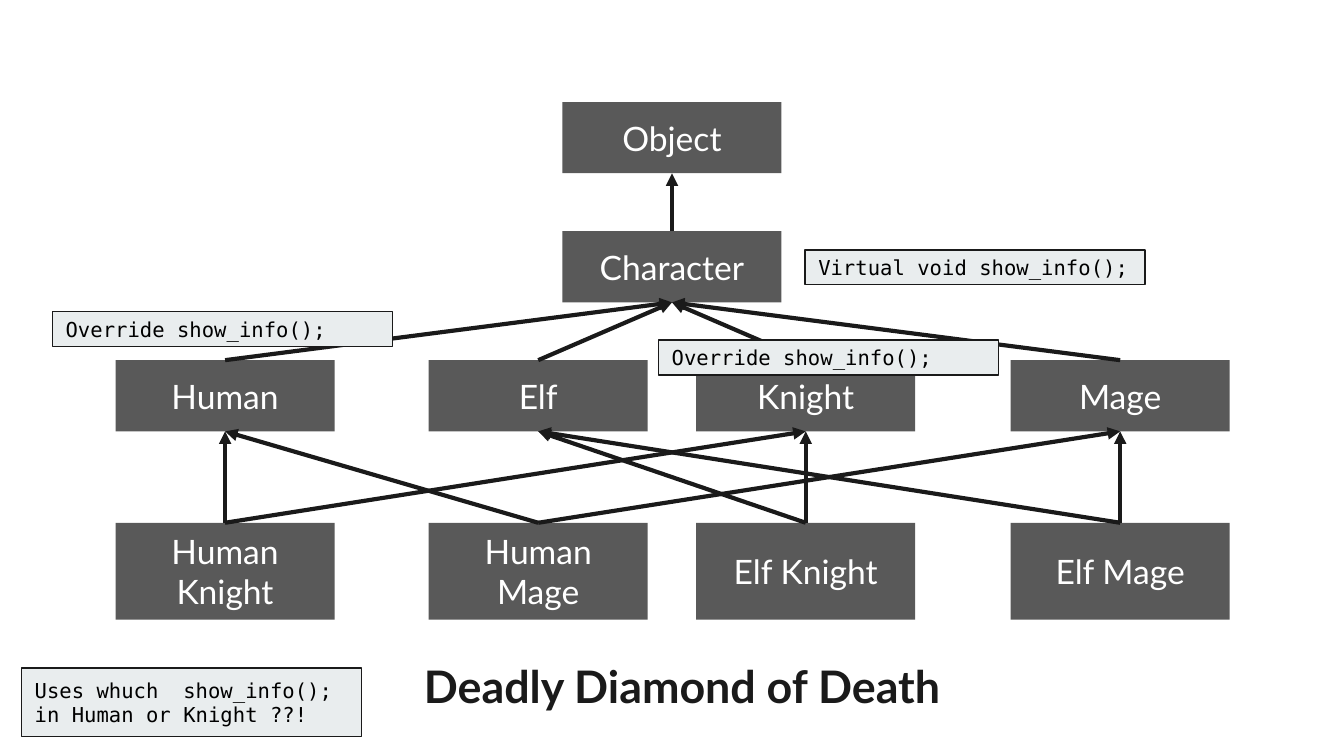
from dataclasses import dataclass

from lxml import etree
from pptx import Presentation
from pptx import util as u
from pptx.dml import color
from pptx.enum import shapes, text
from pptx.oxml import ns


@dataclass(frozen=True)
class Theme:
    box: color.RGBColor = color.RGBColor(0x59, 0x59, 0x59)
    note: color.RGBColor = color.RGBColor(0xE9, 0xED, 0xEE)
    ink: color.RGBColor = color.RGBColor(0x1A, 0x1A, 0x1A)
    white: color.RGBColor = color.RGBColor(255, 255, 255)
    black: color.RGBColor = color.RGBColor(0, 0, 0)
    sans: str = "Lato"
    mono: str = "DejaVu Sans Mono"
    label: int = 18
    title: int = 24
    code: int = 11


theme = Theme()
prs = Presentation()
prs.slide_width = u.Inches(10)
prs.slide_height = prs.slide_width * 9 // 16
s = prs.slides.add_slide(prs.slide_layouts[6])


def write(sp, words, font, size, ink, align, anchor, bold=False):
    tf = sp.text_frame
    tf.word_wrap = True
    tf.vertical_anchor = anchor
    tf.margin_left = tf.margin_right = tf.margin_top = tf.margin_bottom = u.Inches(0.1)
    p = tf.paragraphs[0]
    p.text = words
    p.alignment = align
    p.font.name, p.font.size, p.font.bold = font, u.Pt(size), bold
    p.font.color.rgb = ink


def rect(x, y, w, h, fill):
    sp = s.shapes.add_shape(shapes.MSO_SHAPE.RECTANGLE, *map(u.Inches, (x, y, w, h)))
    sp.shadow.inherit = False
    sp.fill.solid()
    sp.fill.fore_color.rgb = fill
    sp.line.fill.background()
    return sp


box_w = 1.63
cols = [0.86, 3.19, 5.18, 7.52]
rows = [(0.76, 0.53), (1.72, 0.53), (2.68, 0.53), (3.89, 0.72)]
mid = (10 - box_w) / 2
races = ["Human", "Elf", "Knight", "Mage"]
mixes = ["Human Knight", "Human Mage", "Elf Knight", "Elf Mage"]

grid = [("Object", mid, 0), ("Character", mid, 1)]
grid += [(name, x, 2) for name, x in zip(races, cols)]
grid += [(name, x, 3) for name, x in zip(mixes, cols)]
boxes = {}
for name, x, row in grid:
    y, h = rows[row]
    sp = rect(x, y, box_w, h, theme.box)
    write(sp, name, theme.sans, theme.label, theme.white,
          text.PP_ALIGN.CENTER, text.MSO_ANCHOR.MIDDLE)
    boxes[name] = sp

links = [("Character", "Object")]
links += [(race, "Character") for race in races]
links += [(mix, parent) for mix in mixes for parent in mix.split()]
for child, parent in links:
    c = s.shapes.add_connector(shapes.MSO_CONNECTOR.STRAIGHT, 0, 0, 0, 0)
    c.begin_connect(boxes[child], 0)
    c.end_connect(boxes[parent], 2)
    c.line.width = u.Pt(2.25)
    c.line.color.rgb = theme.ink
    props = c._element.spPr
    etree.SubElement(props.find(ns.qn("a:ln")), ns.qn("a:tailEnd"), type="triangle")
    etree.SubElement(props, ns.qn("a:effectLst"))

sp = s.shapes.add_textbox(*map(u.Inches, (0.74, 4.8, 8.67, 0.63)))
write(sp, "Deadly Diamond of Death", theme.sans, theme.title, theme.ink,
      text.PP_ALIGN.CENTER, text.MSO_ANCHOR.TOP, bold=True)

notes = [
    ("Virtual void show_info();", 5.99, 1.86, 0.26),
    ("Uses whuch  show_info(); in Human or Knight ??!", 0.16, 4.97, 0.51),
    ("Override show_info();", 4.9, 2.53, 0.26),
    ("Override show_info();", 0.39, 2.32, 0.26),
]
for words, x, y, h in notes:
    sp = rect(x, y, 2.53, h, theme.note)
    sp.line.color.rgb = theme.ink
    sp.line.width = u.Pt(0.75)
    write(sp, words, theme.mono, theme.code, theme.black,
          text.PP_ALIGN.LEFT, text.MSO_ANCHOR.MIDDLE)

prs.save("out.pptx")
